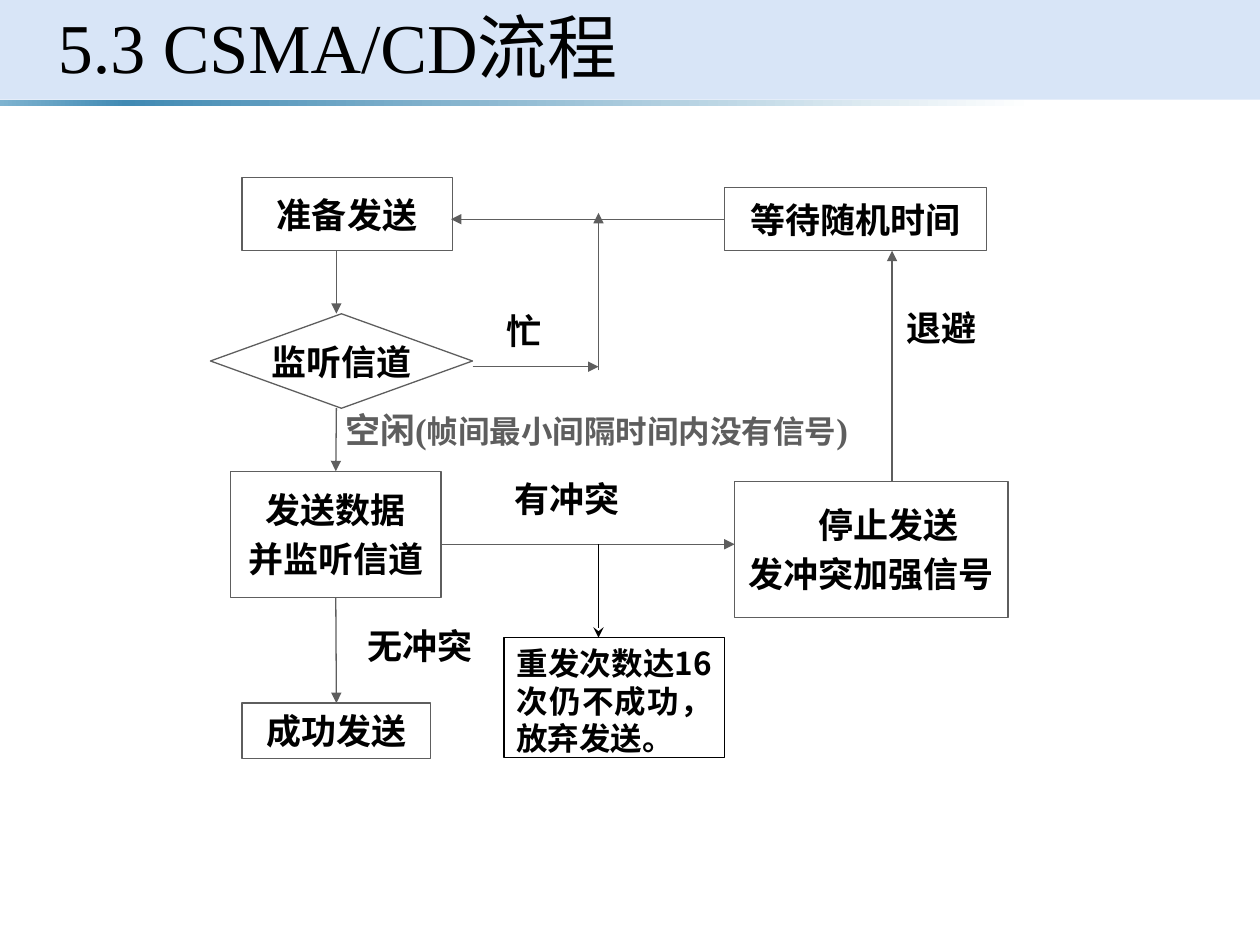
from lxml.etree import SubElement as Sub
from pptx import Presentation
from pptx.dml.color import RGBColor
from pptx.enum.shapes import MSO_CONNECTOR as Conn, MSO_SHAPE as Kind
from pptx.enum.text import MSO_ANCHOR as Anchor, PP_ALIGN as Align
from pptx.oxml.ns import qn
from pptx.util import Inches, Pt

BLACK = RGBColor(0x00, 0x00, 0x00)
GRAY = RGBColor(0x5E, 0x5E, 0x5E)
WHITE = RGBColor(0xFF, 0xFF, 0xFF)
PALE = RGBColor(0xC8, 0xDA, 0xF4)
SKY = RGBColor(0x7E, 0xB3, 0xD0)
BLUE = RGBColor(0x41, 0x8A, 0xB3)
SERIF = "Times New Roman"
SANS = "Noto Sans CJK SC"


def style(font, size=20, color=BLACK, name=SERIF, bold=True):
    font.size, font.bold, font.name = Pt(size), bold, name
    font.color.rgb = color


def add_bar(slide, top, high):
    """Add a plain bar across the slide."""
    bar = slide.shapes.add_shape(Kind.RECTANGLE, 0, Inches(top), Inches(10), Inches(high))
    bar.shadow.inherit = False
    bar.line.fill.background()
    return bar


def add_header(slide, text):
    # Pale band, 70 % opaque
    band = add_bar(slide, 0, 0.79)
    band.fill.solid()
    band.fill.fore_color.rgb = PALE
    tint = band.fill._xPr.find(".//" + qn("a:srgbClr"))
    Sub(tint, qn("a:alpha"), val="70000")

    # Strip that fades to white
    strip = add_bar(slide, 0.79, 0.05)
    strip.fill.gradient()
    strip.fill.gradient_angle = 0
    stops = strip.fill._xPr.find(".//" + qn("a:gsLst"))
    for stop in list(stops):
        stops.remove(stop)
    for spot, color in ((0, SKY), (10, BLUE), (82, WHITE), (100, WHITE)):
        stop = Sub(stops, qn("a:gs"), pos=str(spot * 1000))
        Sub(stop, qn("a:srgbClr"), val=str(color))

    # Title, in front of the band
    title = slide.shapes.title
    slide.shapes._spTree.append(title.element)
    title.left, title.top = Inches(0.36), Inches(0)
    title.width, title.height = Inches(9.3), Inches(0.81)
    frame = title.text_frame
    frame.text = text
    frame.vertical_anchor = Anchor.MIDDLE
    para = frame.paragraphs[0]
    para.alignment, para.line_spacing = Align.LEFT, 0.9
    style(para.font, 40, bold=False)


def add_step(slide, text, left, top, wide, high, kind=Kind.RECTANGLE):
    """Add an outlined step with one centred paragraph per line."""
    step = slide.shapes.add_shape(kind, *map(Inches, (left, top, wide, high)))
    step.shadow.inherit = False
    step.fill.background()
    step.line.color.rgb, step.line.width = GRAY, Pt(0.75)
    frame = step.text_frame
    frame.text = text
    frame.word_wrap = False
    frame.vertical_anchor = Anchor.MIDDLE
    for i, para in enumerate(frame.paragraphs):
        para.alignment = Align.CENTER
        if i:
            para.space_before = Pt(4)
        style(para.font)
    return step


def add_label(slide, text, left, top, wide, align=Align.LEFT, name=SERIF):
    box = slide.shapes.add_textbox(*map(Inches, (left, top, wide, 0.43)))
    frame = box.text_frame
    frame.word_wrap = True
    para = frame.paragraphs[0]
    para.text, para.alignment = text, align
    style(para.font, name=name)
    return para


def add_arrow(slide, start, end, color=GRAY, head="triangle", tail=None, tip=None):
    """Draw an arrow; tail and tip are (shape, side) pairs to join."""
    arrow = slide.shapes.add_connector(Conn.STRAIGHT, *map(Inches, (*start, *end)))
    if tail:
        arrow.begin_connect(*tail)
    if tip:
        arrow.end_connect(*tip)
    arrow.line.color.rgb, arrow.line.width = color, Pt(0.75)
    Sub(arrow.line._get_or_add_ln(), qn("a:tailEnd"), type=head)
    Sub(arrow._element.spPr, qn("a:effectLst"))


def main():
    deck = Presentation()
    deck.slide_width, deck.slide_height = Inches(10), Inches(7.5)
    slide = deck.slides.add_slide(deck.slide_layouts[5])
    add_header(slide, "5.3 CSMA/CD流程")

    # Idle label in two sizes
    idle = add_label(slide, "", 2.64, 3.19, 6.46)
    for text, size in (("空闲(", 20), ("帧间最小间隔时间内没有信号", 18), (")", 20)):
        run = idle.add_run()
        run.text = text
        style(run.font, size, GRAY)

    # Steps
    add_step(slide, "准备发送", 1.92, 1.41, 1.67, 0.58)
    add_step(slide, "监听信道", 1.67, 2.49, 2.08, 0.75, Kind.DIAMOND)
    send = add_step(slide, "发送数据\n并监听信道", 1.83, 3.74, 1.67, 1)
    stop = add_step(slide, "停止发送\n发冲突加强信号", 5.83, 3.82, 2.17, 1.08)
    first = stop.text_frame.paragraphs[0]
    first._p.get_or_add_pPr().set("marL", str(Inches(0.28)))
    wait = add_step(slide, "等待随机时间", 5.75, 1.49, 2.08, 0.5)
    done = add_step(slide, "成功发送", 1.92, 5.58, 1.5, 0.44)

    # Main path down
    add_arrow(slide, (2.67, 1.99), (2.67, 2.49))
    add_arrow(slide, (2.67, 3.24), (2.67, 3.74), tip=(send, 0))
    add_arrow(slide, (2.67, 4.74), (2.67, 5.58), tail=(send, 2), tip=(done, 0))

    # Collision and back-off path
    add_arrow(slide, (3.5, 4.32), (5.83, 4.32))
    add_arrow(slide, (7.08, 3.82), (7.08, 1.99))
    add_arrow(slide, (5.75, 1.74), (3.58, 1.74), tail=(wait, 1))

    # Busy path
    add_arrow(slide, (3.75, 2.91), (4.75, 2.91))
    add_arrow(slide, (4.75, 2.94), (4.75, 1.69))

    # Branch labels
    add_label(slide, "忙", 3.92, 2.41, 0.58)
    add_label(slide, "有冲突", 3.75, 3.74, 1.5, Align.CENTER)
    add_label(slide, "无冲突", 2.75, 4.91, 1.17, Align.CENTER)
    add_label(slide, "退避", 7.1, 2.38, 0.76, name="Calibri")

    # Giving up
    add_arrow(slide, (4.75, 4.32), (4.75, 5.06), BLACK, "stealth")
    quit_box = add_step(slide, "重发次数达16次仍不成功，放弃发送。", 4, 5.06, 1.75, 0.95)
    quit_box.fill.solid()
    quit_box.fill.fore_color.rgb = WHITE
    quit_box.line.color.rgb = BLACK
    frame = quit_box.text_frame
    frame.word_wrap, frame.vertical_anchor = True, Anchor.TOP
    para = frame.paragraphs[0]
    para.alignment = Align.JUSTIFY
    style(para.font, 18, name=SANS)

    deck.save("out.pptx")


if __name__ == "__main__":
    main()
